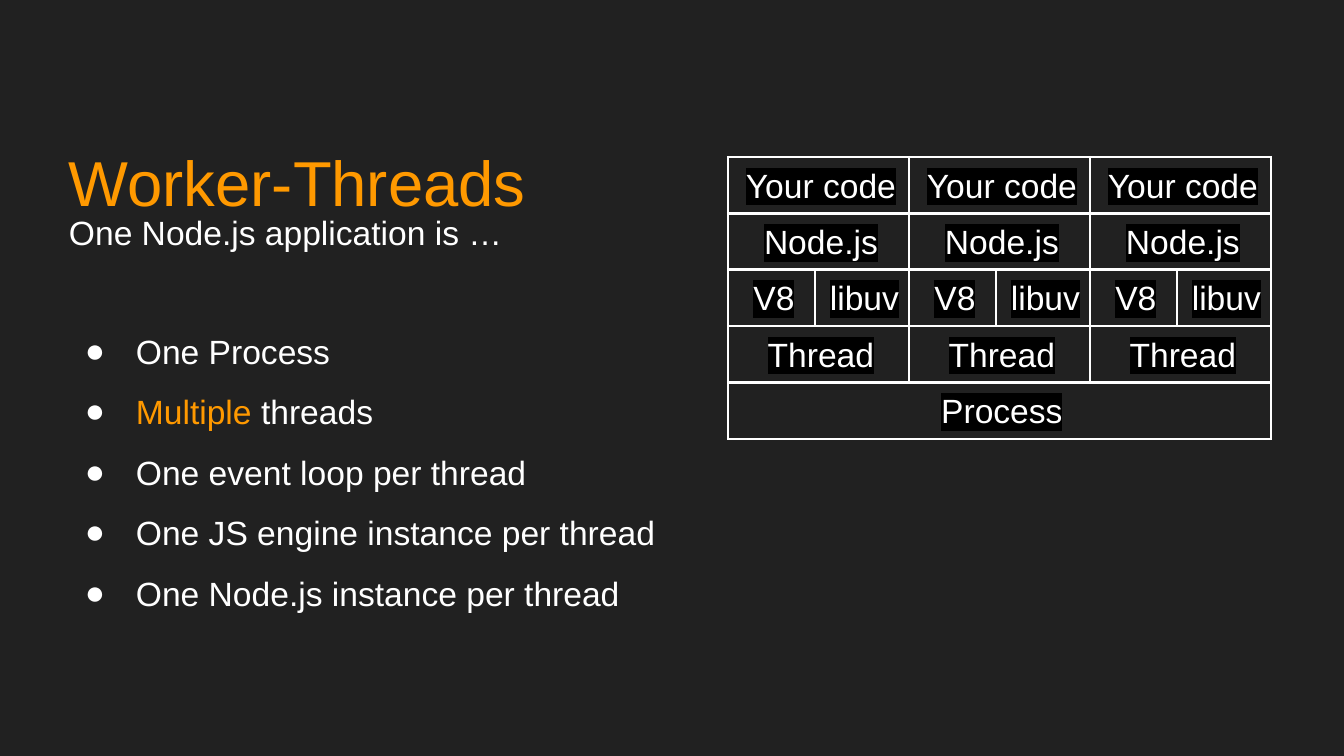
from dataclasses import dataclass

from lxml.etree import SubElement
from pptx import Presentation
from pptx.dml.color import RGBColor
from pptx.enum.text import MSO_ANCHOR, PP_ALIGN
from pptx.oxml.ns import qn
from pptx.util import Pt

EMU_PER_PX = 914400 / 134.4


def px(length):
    return round(length * EMU_PER_PX)


@dataclass(frozen=True)
class Theme:
    font: str = "Arial"
    background: str = "212121"
    text: str = "FFFFFF"
    accent: str = "FF9900"
    highlight: str = "000000"
    title_size: int = 34
    body_size: int = 18
    border_width: float = 1.5


class SlideBuilder:
    def __init__(self, slide, theme):
        self.slide = slide
        self.theme = theme
        slide.background.fill.solid()
        slide.background.fill.fore_color.rgb = RGBColor.from_string(theme.background)

    def style(self, paragraph, size, color):
        paragraph.font.name = self.theme.font
        paragraph.font.size = Pt(size)
        paragraph.font.color.rgb = RGBColor.from_string(color)

    def text_box(self, left, top, width, height, anchor=MSO_ANCHOR.TOP):
        shape = self.slide.shapes.add_textbox(px(left), px(top), px(width), px(height))
        frame = shape.text_frame
        frame.word_wrap = True
        frame.vertical_anchor = anchor
        frame.margin_left = frame.margin_right = px(13)
        frame.margin_top = frame.margin_bottom = px(13)
        return frame

    def title(self, frame, text):
        paragraph = frame.paragraphs[0]
        paragraph.text = text
        paragraph.line_spacing = 2.38
        self.style(paragraph, self.theme.title_size, self.theme.accent)

    def lead(self, frame, text):
        paragraph = frame.paragraphs[0]
        paragraph.text = text
        paragraph.line_spacing = 1.5
        self.style(paragraph, self.theme.body_size, self.theme.text)

    def bullet(self, frame, text, accent="", space_before=0):
        paragraph = frame.add_paragraph()
        paragraph.line_spacing = 1.5
        paragraph.space_before = Pt(space_before)
        properties = paragraph._p.get_or_add_pPr()
        properties.set("marL", str(px(67)))
        properties.set("indent", str(px(-51)))
        bullet_color = SubElement(properties, qn("a:buClr"))
        SubElement(bullet_color, qn("a:srgbClr"), val=self.theme.text)
        SubElement(properties, qn("a:buFont"), typeface=self.theme.font)
        SubElement(properties, qn("a:buChar"), char="●")
        self.style(paragraph, self.theme.body_size, self.theme.text)
        if accent:
            run = paragraph.add_run()
            run.text = accent
            run.font.color.rgb = RGBColor.from_string(self.theme.accent)
        paragraph.add_run().text = text

    def table(self, left, top, column_widths, row_height, rows):
        """Each row lists its labels, which share the columns equally."""
        column_count = len(column_widths)
        graphic_frame = self.slide.shapes.add_table(
            len(rows), column_count, px(left), px(top),
            px(sum(column_widths)), px(row_height * len(rows)))
        table = graphic_frame.table
        table.first_row = table.horz_banding = False
        for column, width in zip(table.columns, column_widths):
            column.width = px(width)
        for row_index, labels in enumerate(rows):
            table.rows[row_index].height = px(row_height)
            for column_index in range(column_count):
                self.cell_frame(table.cell(row_index, column_index))
            span = column_count // len(labels)
            for label_index, label in enumerate(labels):
                first = label_index * span
                cell = table.cell(row_index, first)
                if span > 1:
                    cell.merge(table.cell(row_index, first + span - 1))
                self.cell_text(cell, label)

    def cell_frame(self, cell):
        cell.margin_left = cell.margin_right = px(5)
        cell.margin_top = cell.margin_bottom = px(5)
        properties = cell._tc.get_or_add_tcPr()
        for side in ("lnL", "lnR", "lnT", "lnB"):
            line = SubElement(properties, qn(f"a:{side}"), w=str(Pt(self.theme.border_width)))
            fill = SubElement(line, qn("a:solidFill"))
            SubElement(fill, qn("a:srgbClr"), val=self.theme.text)
        cell.fill.background()

    def cell_text(self, cell, text):
        paragraph = cell.text_frame.paragraphs[0]
        paragraph.alignment = PP_ALIGN.CENTER
        paragraph.line_spacing = 1.15
        paragraph._p.get_or_add_pPr().set("marL", str(px(5)))
        paragraph._p.get_or_add_pPr().set("indent", "0")
        self.style(paragraph, self.theme.body_size, self.theme.text)
        run = paragraph.add_run()
        run.text = text
        highlight = SubElement(run._r.get_or_add_rPr(), qn("a:highlight"))
        SubElement(highlight, qn("a:srgbClr"), val=self.theme.highlight)


def main():
    presentation = Presentation()
    presentation.slide_width = px(1344)
    presentation.slide_height = px(756)
    slide = presentation.slides.add_slide(presentation.slide_layouts[6])
    builder = SlideBuilder(slide, Theme())

    # Title
    title_frame = builder.text_box(56, 54, 1208, 149, MSO_ANCHOR.MIDDLE)
    builder.title(title_frame, "Worker-Threads")

    # Lead line and bullets
    body_frame = builder.text_box(56, 179, 1216, 482)
    builder.lead(body_frame, "One Node.js application is …")
    builder.bullet(body_frame, "One Process", space_before=31)
    builder.bullet(body_frame, " threads", accent="Multiple")
    for text in ("One event loop per thread",
                 "One JS engine instance per thread",
                 "One Node.js instance per thread"):
        builder.bullet(body_frame, text)

    # Three thread stacks inside one process
    stacks = 3
    builder.table(728, 157, [87, 94] * stacks, 56, [
        ["Your code"] * stacks,
        ["Node.js"] * stacks,
        ["V8", "libuv"] * stacks,
        ["Thread"] * stacks,
        ["Process"],
    ])

    presentation.save("out.pptx")


if __name__ == "__main__":
    main()
